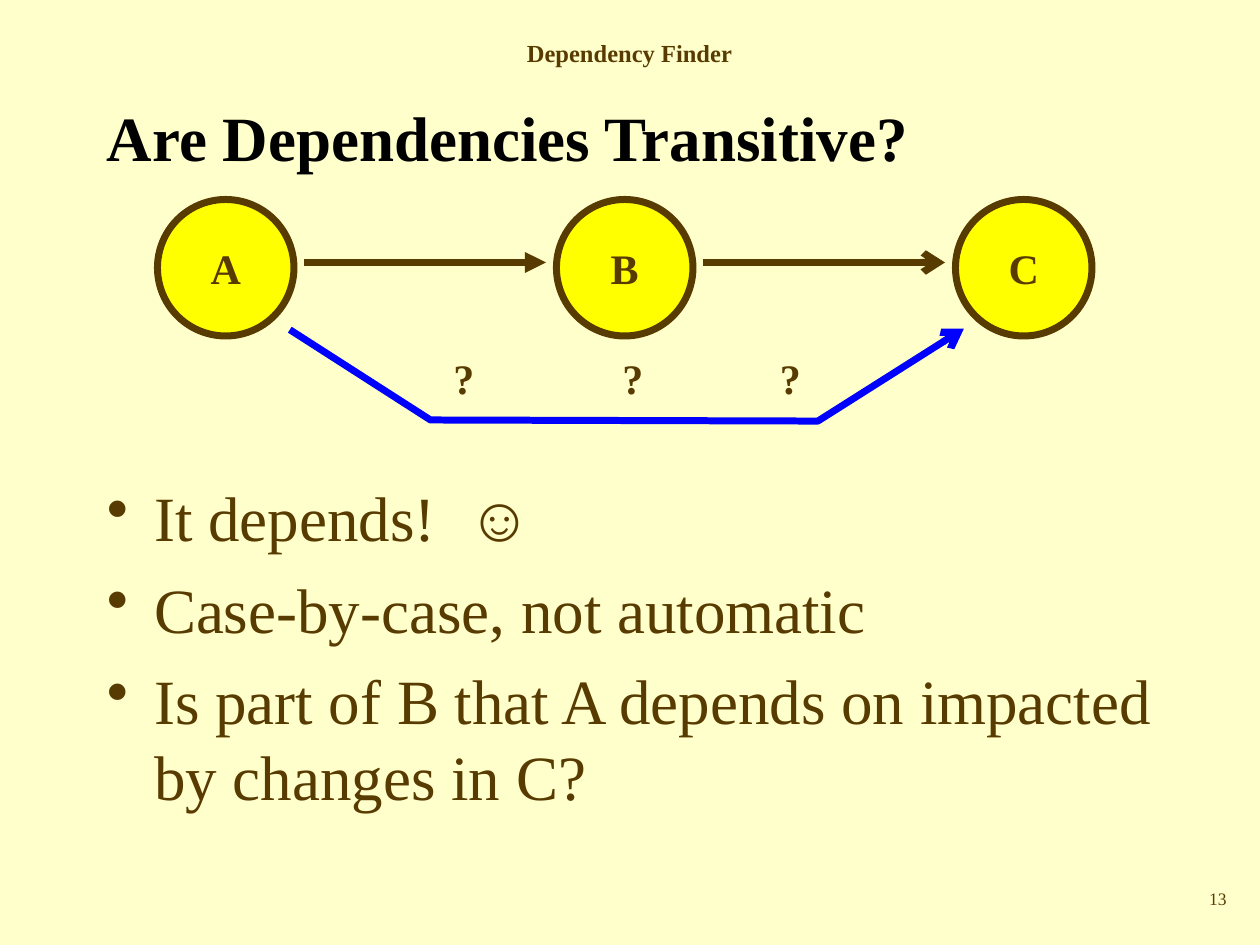
from lxml.etree import SubElement
from pptx import Presentation
from pptx.dml.color import RGBColor
from pptx.enum.shapes import MSO_CONNECTOR, MSO_SHAPE
from pptx.enum.text import MSO_ANCHOR, PP_ALIGN
from pptx.oxml.ns import qn
from pptx.util import Pt

PX = 7620  # EMU per px, 120 px to the inch
CREAM = RGBColor(0xFF, 0xFF, 0xCC)
BROWN = RGBColor(0x58, 0x3B, 0x00)
BLACK = RGBColor(0, 0, 0)
YELLOW = RGBColor(0xFF, 0xFF, 0)
BLUE = RGBColor(0, 0, 0xFF)
SERIF, SANS = "Times New Roman", "Arial"

# Content
HEADER = "Dependency Finder"
TITLE = "Are Dependencies Transitive?"
NODES = ["A", "B", "C"]
ARROW_HEADS = ["triangle", "arrow"]
INDIRECT_PATH = [(276, 314), (410, 400), (779, 401), (918, 313)]
QUESTION_LEFTS = [420, 581, 731]
BULLETS = [
    [("It depends!  ", SERIF), ("☺", SANS)],
    [("Case-by-case, not automatic", SERIF)],
    [("Is part of B that A depends on impacted by changes in C?", SERIF)],
]
PAGE = "13"

# Layout of the node row
NODE_LEFT, NODE_TOP, NODE_SIZE, NODE_PITCH = 150, 190, 130, 380
ARROW_GAP, ARROW_Y = 10, 250


def write(p, text, size=24, color=BROWN, bold=False, font=SERIF, align=PP_ALIGN.LEFT):
    p.alignment = align
    r = p.add_run()
    r.text = text
    r.font.name, r.font.size, r.font.bold = font, Pt(size), bold
    r.font.color.rgb = color


def add_box(slide, x, y, w, h, wrap=True, anchor=MSO_ANCHOR.TOP):
    tf = slide.shapes.add_textbox(x * PX, y * PX, w * PX, h * PX).text_frame
    tf.word_wrap, tf.vertical_anchor = wrap, anchor
    return tf


def style_line(sp, color, head=None):
    sp.line.color.rgb = color
    sp.line.width = Pt(4)
    if head:
        SubElement(sp.line._get_or_add_ln(), qn("a:tailEnd"), type=head)


def add_node(slide, x, label):
    sp = slide.shapes.add_shape(MSO_SHAPE.OVAL, x * PX, NODE_TOP * PX,
                                NODE_SIZE * PX, NODE_SIZE * PX)
    sp.shadow.inherit = False
    sp.fill.solid()
    sp.fill.fore_color.rgb = YELLOW
    style_line(sp, BROWN)
    tf = sp.text_frame
    tf.word_wrap, tf.vertical_anchor = False, MSO_ANCHOR.MIDDLE
    write(tf.paragraphs[0], label, bold=True, align=PP_ALIGN.CENTER)


def add_arrow(slide, x1, x2, head):
    line = slide.shapes.add_connector(MSO_CONNECTOR.STRAIGHT, x1 * PX, ARROW_Y * PX,
                                      x2 * PX, ARROW_Y * PX)
    style_line(line, BROWN, head)
    SubElement(line._element.spPr, qn("a:effectLst"))


def add_indirect_arrow(slide):
    start, *rest = INDIRECT_PATH
    builder = slide.shapes.build_freeform(*start, scale=PX)
    builder.add_line_segments(rest, close=False)
    sp = builder.convert_to_shape()
    sp.shadow.inherit = False
    sp.fill.background()
    style_line(sp, BLUE, "arrow")


def add_bullets(tf):
    for i, runs in enumerate(BULLETS):
        p = tf.add_paragraph() if i else tf.paragraphs[0]
        pPr = p._p.get_or_add_pPr()
        pPr.set("marL", str(45 * PX))
        pPr.set("indent", str(-45 * PX))
        SubElement(pPr, qn("a:buChar"), char="•")
        if i:
            p.space_before = Pt(9)
        for text, font in runs:
            write(p, text, size=36, font=font)


def main():
    prs = Presentation()
    prs.slide_width, prs.slide_height = 1200 * PX, 900 * PX
    slide = prs.slides.add_slide(prs.slide_layouts[6])
    slide.background.fill.solid()
    slide.background.fill.fore_color.rgb = CREAM

    # Header and title
    tf = add_box(slide, 490, 30, 220, 41, wrap=False)
    write(tf.paragraphs[0], HEADER, size=14, bold=True)
    tf = add_box(slide, 90, 90, 1020, 80, anchor=MSO_ANCHOR.MIDDLE)
    write(tf.paragraphs[0], TITLE, size=36, color=BLACK, bold=True)

    # Bullets
    add_bullets(add_box(slide, 90, 450, 1020, 350))

    # Nodes and the arrows between them
    lefts = [NODE_LEFT + i * NODE_PITCH for i in range(len(NODES))]
    for x, label in zip(lefts, NODES):
        add_node(slide, x, label)
    for x, following, head in zip(lefts, lefts[1:], ARROW_HEADS):
        add_arrow(slide, x + NODE_SIZE + ARROW_GAP, following - ARROW_GAP, head)

    # Indirect dependency and its question marks
    add_indirect_arrow(slide)
    for x in QUESTION_LEFTS:
        tf = add_box(slide, x, 330, 43, 60, wrap=False)
        write(tf.paragraphs[0], "?", bold=True)

    # Page number
    tf = add_box(slide, 860, 840, 320, 40)
    write(tf.paragraphs[0], PAGE, size=10, align=PP_ALIGN.RIGHT)

    prs.save("out.pptx")


if __name__ == "__main__":
    main()
